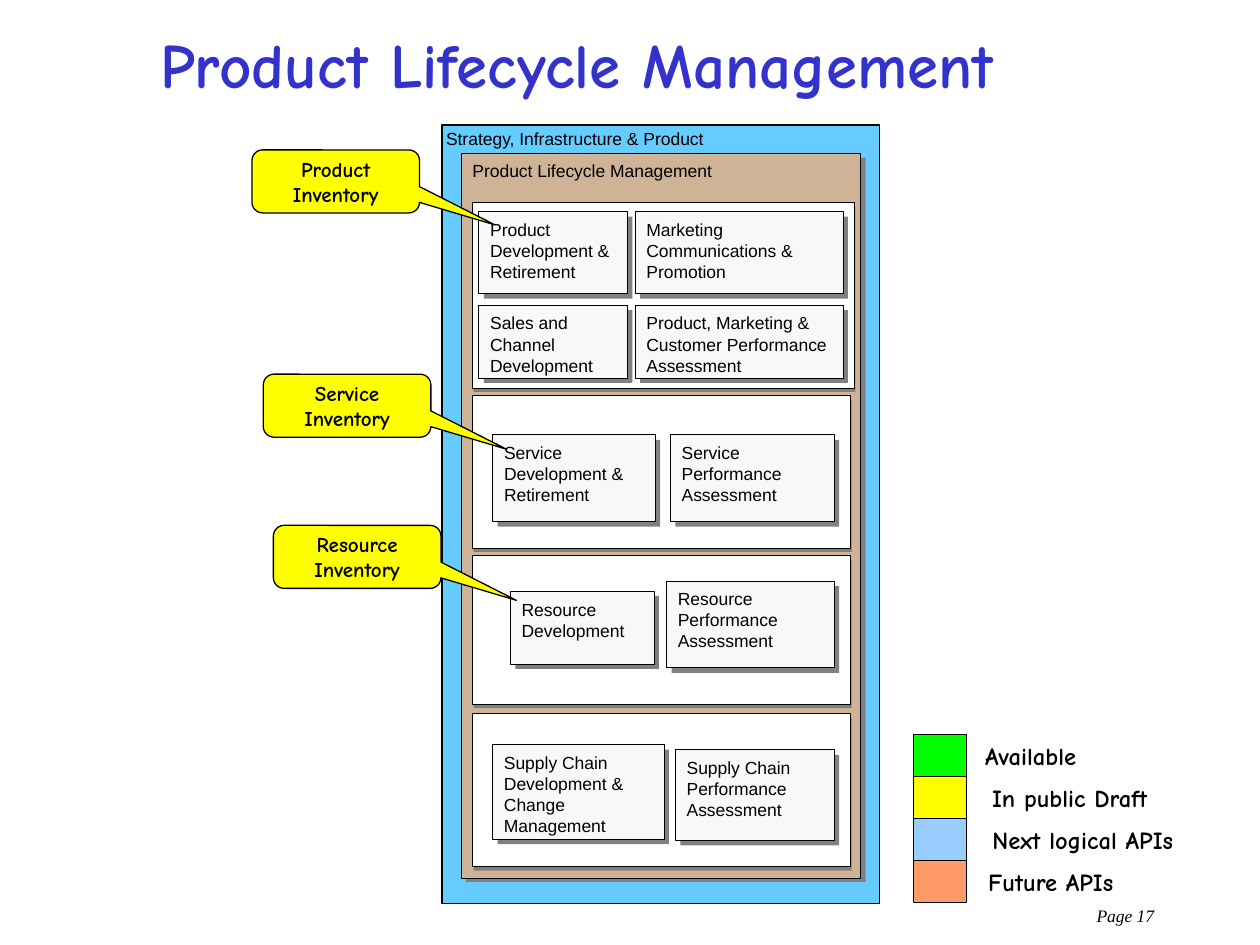
from pptx import Presentation
from pptx.dml.color import RGBColor
from pptx.enum.shapes import MSO_SHAPE
from pptx.enum.text import MSO_ANCHOR, MSO_AUTO_SIZE, PP_ALIGN
from pptx.util import Inches, Pt

RECTANGLE = MSO_SHAPE.RECTANGLE
CALLOUT = MSO_SHAPE.ROUNDED_RECTANGULAR_CALLOUT
TOP, MIDDLE = MSO_ANCHOR.TOP, MSO_ANCHOR.MIDDLE
LEFT, CENTER, RIGHT = PP_ALIGN.LEFT, PP_ALIGN.CENTER, PP_ALIGN.RIGHT
NO_AUTOSIZE = MSO_AUTO_SIZE.NONE

BLACK = RGBColor(0x00, 0x00, 0x00)
WHITE = RGBColor(0xFF, 0xFF, 0xFF)
GRAY = RGBColor(0x80, 0x80, 0x80)
OFF_WHITE = RGBColor(0xF8, 0xF8, 0xF8)
SKY = RGBColor(0x66, 0xCC, 0xFF)
TAN = RGBColor(0xCE, 0xB3, 0x97)
INDIGO = RGBColor(0x33, 0x33, 0xCC)
GREEN = RGBColor(0x00, 0xFF, 0x00)
YELLOW = RGBColor(0xFF, 0xFF, 0x00)
PALE_BLUE = RGBColor(0x99, 0xCC, 0xFF)
ORANGE = RGBColor(0xFF, 0x99, 0x66)

BODY_FONT = {"name": "Arial", "size": Pt(10), "color": BLACK}
CALLOUT_FONT = {"name": "Comic Neue", "size": Pt(12), "bold": True, "color": BLACK}
LEGEND_FONT = {**CALLOUT_FONT, "size": Pt(14)}
TITLE_FONT = {**CALLOUT_FONT, "size": Pt(36), "color": INDIGO}
PAGE_FONT = {"name": "Times New Roman", "size": Pt(10), "italic": True, "color": BLACK}

THIN, CALLOUT_LINE, FRAME_LINE, LEGEND_LINE = 0.37, 0.75, 0.88, 1
NO_INSETS = (0, 0, 0, 0)
INSETS = (0.1, 0.05, 0.1, 0.05)
CARD_INSETS = (0.09, 0.06, 0, 0)
CARD_SHADOW = (0.04, 0.04)
PANEL_SHADOW = (0.01, 0.03)

# Each panel: its box, then its cards as (box, lines of text)
PANELS = [
    ((3.75, 1.61, 3.03, 1.47), [
        ((3.80, 1.68, 1.18, 0.65), ["Product", "Development &", "Retirement"]),
        ((5.04, 1.68, 1.65, 0.65), ["Marketing", "Communications &", "Promotion"]),
        ((3.80, 2.42, 1.18, 0.58), ["Sales and", "Channel", "Development"]),
        ((5.04, 2.42, 1.65, 0.58),
         ["Product, Marketing &", "Customer Performance", "Assessment"]),
    ]),
    ((3.75, 3.14, 3, 1.21), [
        ((3.91, 3.45, 1.29, 0.69), ["Service", "Development &", "Retirement"]),
        ((5.32, 3.45, 1.30, 0.69), ["Service", "Performance", "Assessment"]),
    ]),
    ((3.75, 4.41, 3, 1.18), [
        ((4.05, 4.69, 1.14, 0.58), ["Resource", "Development"]),
        ((5.29, 4.61, 1.33, 0.69), ["Resource", "Performance", "Assessment"]),
    ]),
    ((3.75, 5.66, 3, 1.22), [
        ((3.91, 5.91, 1.36, 0.75),
         ["Supply Chain", "Development &", "Change", "Management"]),
        ((5.36, 5.95, 1.26, 0.72), ["Supply Chain", "Performance", "Assessment"]),
    ]),
]
CALLOUTS = [
    (2.00, 1.19, "Product Inventory"),
    (2.09, 2.97, "Service Inventory"),
    (2.17, 4.17, "Resource Inventory"),
]
# Colour, label, and left and width of the label
LEGEND = [
    (GREEN, "Available", 7.72, 0.92),
    (YELLOW, "In public Draft", 7.77, 1.44),
    (PALE_BLUE, "Next logical APIs", 7.78, 1.63),
    (ORANGE, "Future APIs", 7.74, 1.20),
]
LEGEND_LEFT, LEGEND_TOP, LEGEND_WIDTH, LEGEND_ROW = 7.25, 5.83, 0.42, 1 / 3


def inches(values):
    return [Inches(value) for value in values]


def write(shape, text, font, align=LEFT, insets=NO_INSETS, anchor=TOP, wrap=False):
    frame = shape.text_frame
    sides = ("margin_left", "margin_top", "margin_right", "margin_bottom")
    layout = dict(zip(sides, inches(insets)))
    layout.update(word_wrap=wrap, vertical_anchor=anchor, auto_size=NO_AUTOSIZE)
    for name, value in layout.items():
        setattr(frame, name, value)
    frame.text = text
    for paragraph in frame.paragraphs:
        paragraph.alignment = align
        for run in paragraph.runs:
            for name, value in font.items():
                if name == "color":
                    run.font.color.rgb = value
                else:
                    setattr(run.font, name, value)


def add_label(slide, box, text, font, **layout):
    write(slide.shapes.add_textbox(*inches(box)), text, font, **layout)


def add_box(slide, box, fill, line_width=None, kind=RECTANGLE):
    shape = slide.shapes.add_shape(kind, *inches(box))
    shape.shadow.inherit = False
    shape.fill.solid()
    shape.fill.fore_color.rgb = fill
    if line_width is None:
        shape.line.fill.background()
    else:
        shape.line.color.rgb = BLACK
        shape.line.width = Pt(line_width)
    return shape


def add_raised_box(slide, box, fill, offset):
    """Add an outlined box over a gray one moved by offset."""
    left, top, width, height = box
    add_box(slide, (left + offset[0], top + offset[1], width, height), GRAY)
    return add_box(slide, box, fill, THIN)


def add_title(slide, text):
    title = slide.shapes.title
    title.left, title.top, title.width, title.height = inches((1.17, 0.08, 8.16, 1))
    write(title, text, TITLE_FONT, insets=INSETS, anchor=MIDDLE, wrap=True)
    paragraph = title.text_frame.paragraphs[0]
    paragraph.line_spacing = 0.68
    paragraph.space_before = Pt(9)


def add_panel(slide, box, cards):
    add_raised_box(slide, box, WHITE, PANEL_SHADOW)
    for card_box, lines in cards:
        card = add_raised_box(slide, card_box, OFF_WHITE, CARD_SHADOW)
        write(card, "\n".join(lines), BODY_FONT, insets=CARD_INSETS)


def add_callout(slide, left, top, text):
    callout = add_box(slide, (left, top, 1.33, 0.5), YELLOW, CALLOUT_LINE, CALLOUT)
    for index, value in enumerate((0.95, 0.69, 0.17)):
        callout.adjustments[index] = value
    write(callout, text, CALLOUT_FONT, CENTER, INSETS, MIDDLE, wrap=True)


def add_legend(slide):
    for row, (color, text, left, width) in enumerate(LEGEND):
        top = LEGEND_TOP + row * LEGEND_ROW
        add_box(slide, (LEGEND_LEFT, top, LEGEND_WIDTH, LEGEND_ROW), color, LEGEND_LINE)
        add_label(slide, (left, top, width, 0.34), text, LEGEND_FONT,
                  align=CENTER, insets=INSETS)


def main():
    presentation = Presentation()
    presentation.slide_width, presentation.slide_height = inches((10, 7.5))
    slide = presentation.slides.add_slide(presentation.slide_layouts[5])

    add_title(slide, "Product Lifecycle Management")
    add_box(slide, (3.51, 0.99, 3.47, 6.18), SKY, FRAME_LINE)
    add_label(slide, (3.54, 1.02, 2.05, 0.17),
              "Strategy, Infrastructure & Product", BODY_FONT)
    add_raised_box(slide, (3.66, 1.22, 3.17, 5.75), TAN, (0.04, 0.03))
    add_label(slide, (3.75, 1.27, 1.9, 0.17), "Product Lifecycle Management", BODY_FONT)
    for box, cards in PANELS:
        add_panel(slide, box, cards)
    for left, top, text in CALLOUTS:
        add_callout(slide, left, top, text)
    add_legend(slide)
    add_label(slide, (1.67, 7.13, 7.69, 0.27), "Page 17", PAGE_FONT,
              align=RIGHT, insets=(0.1, 0.05, 0.2, 0.05), wrap=True)
    presentation.save("out.pptx")


if __name__ == "__main__":
    main()
